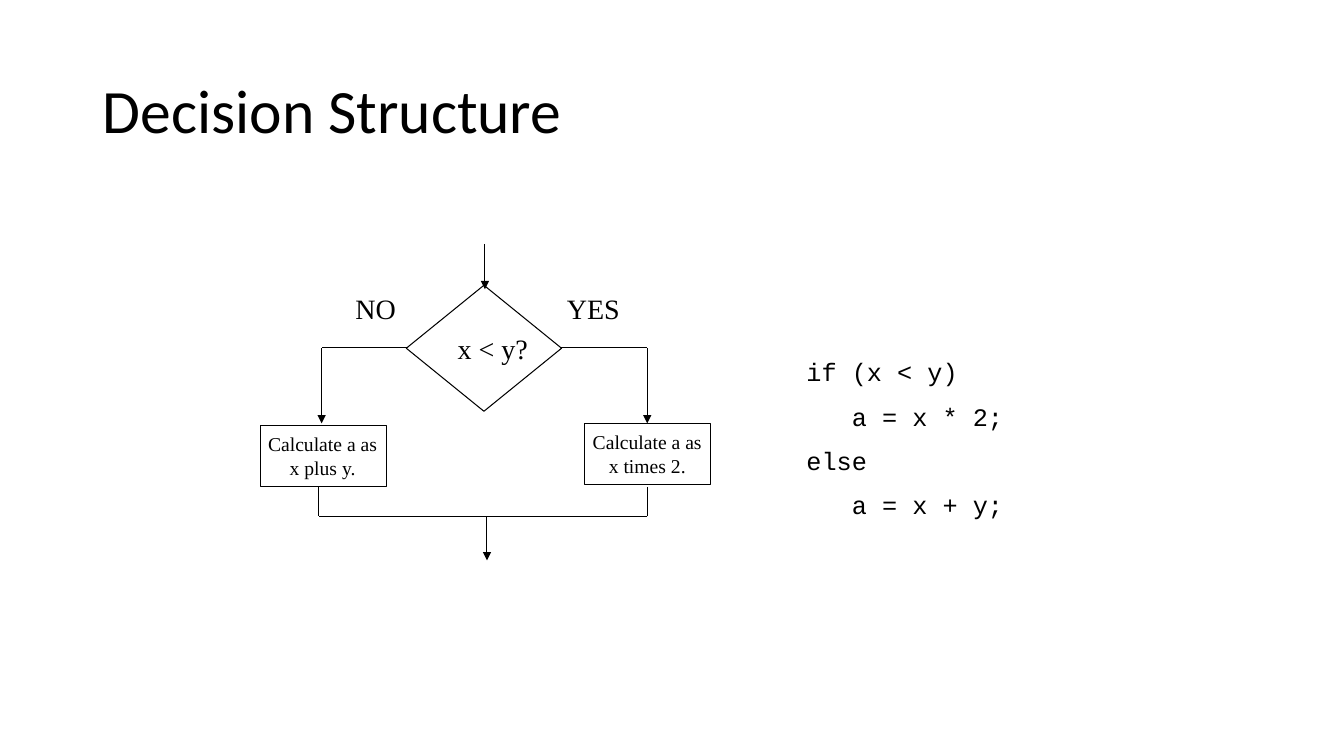
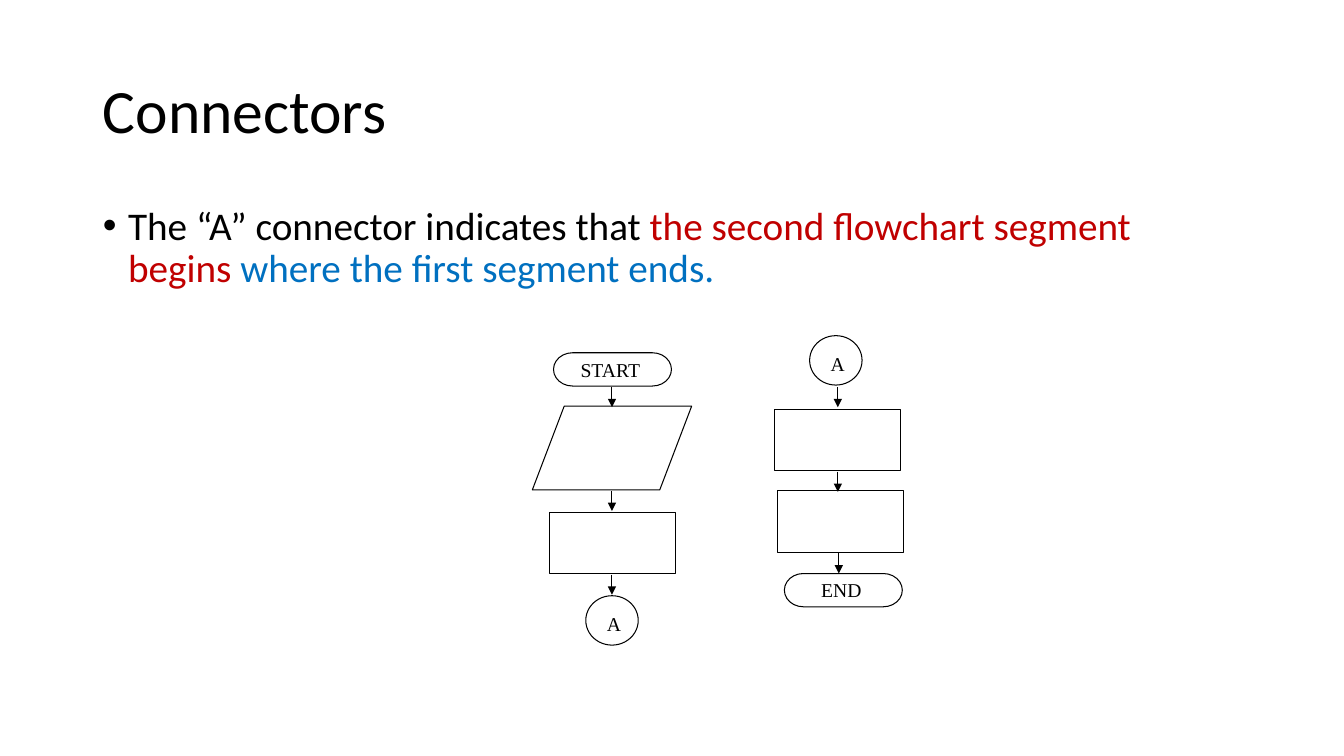
"""Build two slides on flowchart decisions and connectors."""
import dataclasses

import pptx
import pptx.dml.color
import pptx.enum.shapes
import pptx.enum.text
import pptx.oxml
import pptx.oxml.ns
import pptx.util

Inches = pptx.util.Inches
Pt = pptx.util.Pt
Preset = pptx.enum.shapes.MSO_SHAPE
Align = pptx.enum.text.PP_ALIGN
AutoSize = pptx.enum.text.MSO_AUTO_SIZE


@dataclasses.dataclass(frozen=True)
class Theme:
    """Hold the colours, fonts and sizes of the deck."""
    ink: str = "000000"
    paper: str = "FFFFFF"
    red: str = "C00000"
    blue: str = "0070C0"
    main_font: str = "Calibri"
    chart_font: str = "Times New Roman"
    code_font: str = "Courier New"
    title_size: int = 44
    body_size: int = 28
    label_size: int = 20
    code_size: int = 18
    step_size: int = 14
    line_width: float = 0.75


THEME = Theme()
STEP_SIZE = (1.25, 0.61)
TERMINAL_SIZE = (1.17, 0.33)
CIRCLE_SIZE = (0.52, 0.49)
ARROW_LENGTH = 0.2


def rgb(code):
    """Return a colour for a hex code."""
    return pptx.dml.color.RGBColor.from_string(code)


def place(shape, left, top, width, height):
    """Set the bounds of a shape in inches."""
    shape.left, shape.top = Inches(left), Inches(top)
    shape.width, shape.height = Inches(width), Inches(height)


def write_text(frame, lines, *, size, font, align=Align.LEFT, gap=0, leading=None):
    """Write lines, each a list of (text, colour) spans, into a text frame."""
    frame.word_wrap = True
    for index, spans in enumerate(lines):
        para = frame.add_paragraph() if index else frame.paragraphs[0]
        para.alignment = align
        para.space_before = Pt(gap if index else 0)
        if leading:
            para.line_spacing = leading
        for text, color in spans:
            span = para.add_run()
            span.text = text
            span.font.size = Pt(size)
            span.font.name = font
            span.font.color.rgb = rgb(color)


def indent(para, left, first=0):
    """Indent a paragraph and its first line by inches."""
    properties = para._p.get_or_add_pPr()
    properties.set("marL", str(Inches(left)))
    properties.set("indent", str(Inches(first)))
    return properties


def add_bullet(para):
    """Give a paragraph a hanging round bullet."""
    properties = indent(para, 0.25, -0.25)
    for tag, name, value in (("a:buFont", "typeface", "Arial"), ("a:buChar", "char", "•")):
        pptx.oxml.ns.qn(tag)
        mark = pptx.oxml.parse_xml(f'<{tag} {pptx.oxml.ns.nsdecls("a")} {name}="{value}"/>')
        properties.append(mark)


def add_page(deck, layout, title):
    """Add a slide with its formatted title."""
    page = deck.slides.add_slide(deck.slide_layouts.get_by_name(layout))
    page.background.fill.solid()
    page.background.fill.fore_color.rgb = rgb(THEME.paper)
    box = page.shapes.title
    place(box, 0.92, 0.4, 11.5, 1.45)
    frame = box.text_frame
    frame.vertical_anchor = pptx.enum.text.MSO_ANCHOR.MIDDLE
    frame.auto_size = AutoSize.NONE
    write_text(frame, [[(title, THEME.ink)]], size=THEME.title_size,
               font=THEME.main_font, leading=0.9)
    return page


def add_outline(shapes, preset, left, top, size):
    """Add an unfilled flowchart symbol."""
    shape = shapes.add_shape(preset, *map(Inches, (left, top, *size)))
    shape.shadow.inherit = False
    shape.fill.background()
    shape.line.color.rgb = rgb(THEME.ink)
    shape.line.width = Pt(THEME.line_width)


def add_line(shapes, start, end, arrow=False):
    """Add a straight line, with an arrowhead at its end on request."""
    line = shapes.add_connector(pptx.enum.shapes.MSO_CONNECTOR.STRAIGHT,
                                *map(Inches, (*start, *end)))
    line.line.color.rgb = rgb(THEME.ink)
    line.line.width = Pt(THEME.line_width)
    names = pptx.oxml.ns.nsdecls("a")
    if arrow:
        head = pptx.oxml.parse_xml(f'<a:tailEnd {names} type="triangle"/>')
        line.line._get_or_add_ln().append(head)
    line._element.spPr.append(pptx.oxml.parse_xml(f"<a:effectLst {names}/>"))


def add_text(shapes, bounds, lines, **style):
    """Add a text box that grows with its plain lines."""
    box = shapes.add_textbox(*map(Inches, bounds))
    write_text(box.text_frame, [[(line, THEME.ink)] for line in lines], **style)
    box.text_frame.auto_size = AutoSize.SHAPE_TO_FIT_TEXT
    return box.text_frame


def add_label(shapes, text, bounds, size=THEME.step_size, align=Align.CENTER):
    """Add a flowchart label."""
    add_text(shapes, bounds, [text], size=size, font=THEME.chart_font, align=align)


def add_circle(shapes, left, top):
    """Add a connector circle marked A."""
    add_outline(shapes, Preset.FLOWCHART_CONNECTOR, left, top, CIRCLE_SIZE)
    add_label(shapes, "A", (left + 0.11, top + 0.11, 0.26, 0.33), align=Align.LEFT)


def build_decision(deck):
    """Build the slide with a two-way branch and its code."""
    page = add_page(deck, "Title Only", "Decision Structure")
    shapes = page.shapes.add_group_shape().shapes
    add_outline(shapes, Preset.FLOWCHART_DECISION, 4.03, 2.83, (1.54, 1.25))
    for left, top, text in ((2.58, 4.22, "Calculate a as x plus y."),
                            (5.8, 4.2, "Calculate a as x times 2.")):
        add_outline(shapes, Preset.RECTANGLE, left, top, STEP_SIZE)
        add_label(shapes, text, (left - 0.02, top + 0.02, 1.28, 0.57))
    for corner, branch, exit_x in ((4.05, 3.19, 3.16), (5.56, 6.42, 6.42)):
        add_line(shapes, (corner, 3.45), (branch, 3.45))
        add_line(shapes, (branch, 3.45), (branch, 4.2), arrow=True)
        add_line(shapes, (exit_x, 4.83), (exit_x, 5.12))
    add_line(shapes, (6.42, 5.12), (3.16, 5.12))
    add_line(shapes, (4.83, 5.12), (4.83, 5.56), arrow=True)
    add_line(shapes, (4.81, 2.42), (4.81, 2.87), arrow=True)
    for text, left in (("YES", 5.47), ("NO", 3.31)):
        add_label(shapes, text, (left, 2.84, 0.83, 0.43), THEME.label_size)
    add_label(shapes, "x < y?", (4.44, 3.24, 0.94, 0.43), THEME.label_size, Align.LEFT)

    code = add_text(page.shapes, (7.9, 3.49, 2.78, 1.77),
                    ["if (x < y)", "a = x * 2;", "else", "a = x + y;"],
                    size=THEME.code_size, font=THEME.code_font, gap=10)
    for para in code.paragraphs[1::2]:
        indent(para, 0.45)


def build_connectors(deck):
    """Build the slide with two linked flowchart segments."""
    page = add_page(deck, "Title and Content", "Connectors")
    body = page.placeholders[1]
    place(body, 0.92, 2, 11.5, 4.76)
    body.text_frame.auto_size = AutoSize.NONE
    sentence = [("The “A” connector indicates that ", THEME.ink),
                ("the second flowchart segment begins ", THEME.red),
                ("where the first segment ends.", THEME.blue)]
    write_text(body.text_frame, [sentence], size=THEME.body_size,
               font=THEME.main_font, leading=0.9)
    add_bullet(body.text_frame.paragraphs[0])

    shapes = page.shapes.add_group_shape().shapes
    add_outline(shapes, Preset.FLOWCHART_TERMINATOR, 5.49, 3.5, TERMINAL_SIZE)
    add_label(shapes, "START", (5.66, 3.5, 0.85, 0.33), align=Align.LEFT)
    add_outline(shapes, Preset.FLOWCHART_DATA, 5.28, 4.03, (1.58, 0.83))
    add_circle(shapes, 5.81, 5.91)
    add_circle(shapes, 8.03, 3.33)
    for left, top in ((5.45, 5.08), (7.68, 4.06), (7.71, 4.87)):
        add_outline(shapes, Preset.RECTANGLE, left, top, STEP_SIZE)
    add_outline(shapes, Preset.FLOWCHART_TERMINATOR, 7.78, 5.69, TERMINAL_SIZE)
    add_label(shapes, "END", (7.92, 5.68, 0.85, 0.33))
    for x, y in ((6.07, 3.84), (6.07, 4.87), (6.07, 5.7),
                 (8.31, 3.84), (8.31, 4.68), (8.32, 5.49)):
        add_line(shapes, (x, y), (x, y + ARROW_LENGTH), arrow=True)


def main():
    """Build and save the deck."""
    deck = pptx.Presentation()
    deck.slide_width, deck.slide_height = Inches(13.33), Inches(7.5)
    build_decision(deck)
    build_connectors(deck)
    deck.save("out.pptx")


main()
